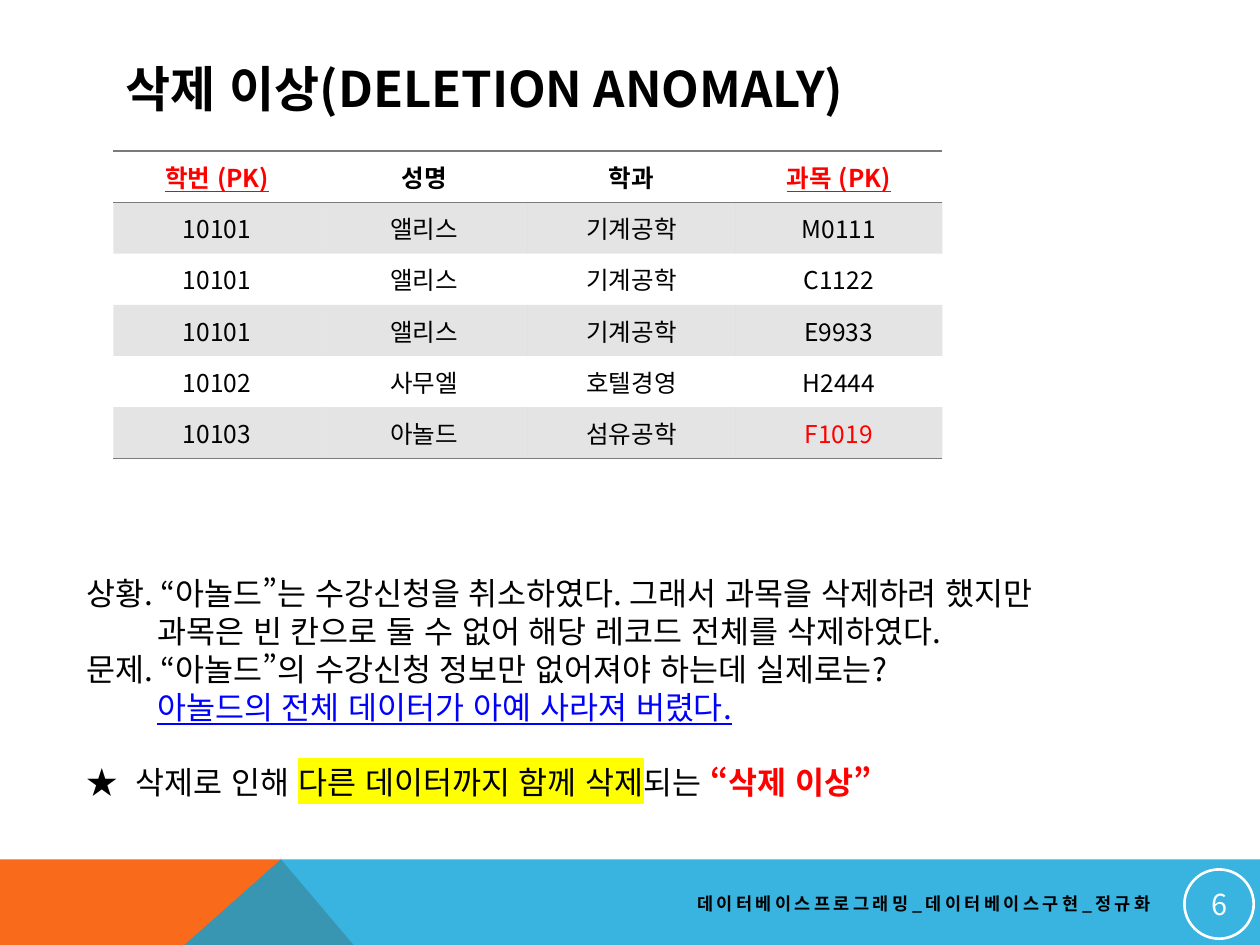
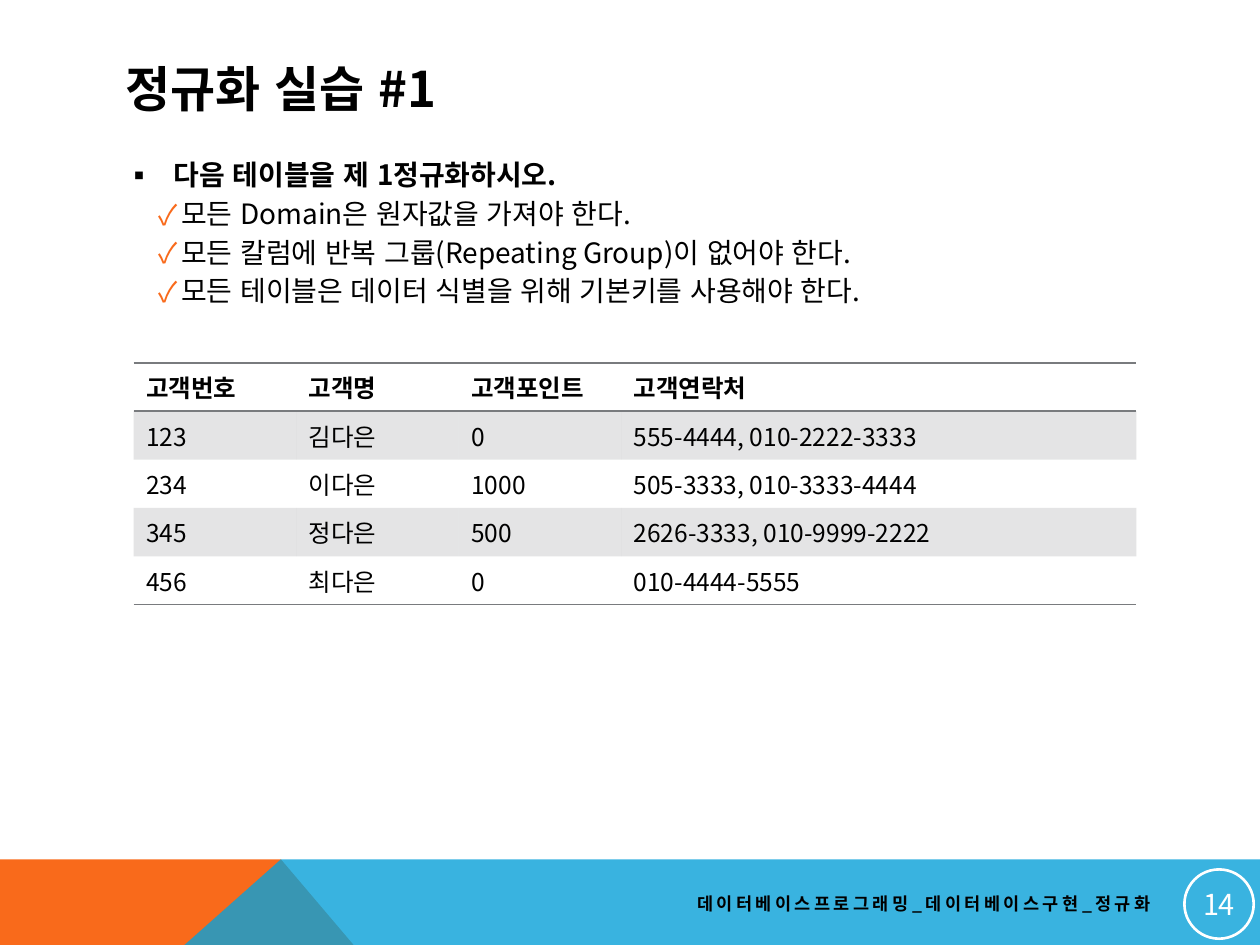
from dataclasses import dataclass

from lxml import etree
from pptx import Presentation, util as u
from pptx.dml import color
from pptx.enum import shapes, text
from pptx.oxml import ns

Inches, Pt = u.Inches, u.Pt


@dataclass(frozen=True)
class Theme:
    font: str = "Noto Sans CJK KR"
    black: str = "000000"
    white: str = "FFFFFF"
    red: str = "FF0000"
    link_blue: str = "0000FF"
    marker: str = "FFFF00"
    orange: str = "F96A1B"
    sky: str = "08A1D9"
    gray: str = "797B7E"
    title_size: float = 28
    story_size: float = 18
    number_size: float = 16.5
    body_size: float = 16
    table_size: float = 14
    footer_size: float = 10
    line_factor: float = 1.2


THEME = Theme()
FOOTER = "데이터베이스프로그래밍_데이터베이스구현_정규화"
NO_TABLE_STYLE = "{2D5ABB26-0587-4C30-8999-92F81FD0307C}"
LEFT, CENTER, RIGHT = (text.PP_ALIGN.LEFT, text.PP_ALIGN.CENTER,
                       text.PP_ALIGN.RIGHT)
MIDDLE, TOP = text.MSO_ANCHOR.MIDDLE, text.MSO_ANCHOR.TOP


def rgb(value):
    return color.RGBColor.from_string(value)


def child(parent, tag, **attributes):
    return etree.SubElement(parent, ns.qn(tag), attributes)


def add_color(parent, value):
    child(parent, "a:srgbClr", val=value)


def set_fill(fill, value, opacity=100):
    fill.solid()
    fill.fore_color.rgb = rgb(value)
    if opacity < 100:
        solid = fill._xPr.find(ns.qn("a:solidFill"))
        child(solid[0], "a:alpha", val=str(opacity * 1000))


def add_text(paragraph, content, size, tone=THEME.black, bold=False,
             underline=False, highlight=None, spacing=0):
    run = paragraph.add_run()
    run.text = content
    font = run.font
    font.size, font.bold, font.underline = Pt(size), bold, underline
    font.color.rgb = rgb(tone)
    properties = run._r.get_or_add_rPr()
    properties.set("lang", "ko-KR")
    properties.set("altLang", "en-US")
    if spacing:
        properties.set("spc", str(spacing * 100))
    if highlight:
        add_color(child(properties, "a:highlight"), highlight)
    for tag in ("a:latin", "a:ea"):
        child(properties, tag, typeface=THEME.font)


def format_paragraph(paragraph, size, left=0, hanging=0, before=0,
                     bullet=None, bullet_color=None):
    paragraph.line_spacing = Pt(size * THEME.line_factor)
    paragraph.space_before = Pt(before)
    properties = paragraph._p.get_or_add_pPr()
    properties.set("marL", str(Inches(left)))
    properties.set("indent", str(-Inches(hanging)))
    if bullet_color:
        add_color(child(properties, "a:buClr"), bullet_color)
    if bullet:
        child(properties, "a:buFont", typeface=THEME.font)
        child(properties, "a:buChar", char=bullet)


def add_box(slide, left, top, width, height, anchor=TOP):
    shape = slide.shapes.add_textbox(
        Inches(left), Inches(top), Inches(width), Inches(height))
    frame = shape.text_frame
    frame.word_wrap = True
    frame.vertical_anchor = anchor
    return frame


def next_paragraph(frame):
    first = frame.paragraphs[0]
    return frame.add_paragraph() if first.runs else first


def add_polygon(slide, points, fill, opacity=100):
    corners = [(Inches(x), Inches(y)) for x, y in points]
    builder = slide.shapes.build_freeform(*corners[0], scale=1.0)
    builder.add_line_segments(corners[1:], close=True)
    shape = builder.convert_to_shape()
    shape.shadow.inherit = False
    set_fill(shape.fill, fill, opacity)
    shape.line.fill.background()


def add_page_number(slide, number):
    shape = slide.shapes.add_shape(
        shapes.MSO_SHAPE.OVAL, Inches(9.4), Inches(6.9),
        Inches(0.55), Inches(0.55))
    shape.shadow.inherit = False
    shape.fill.background()
    shape.line.color.rgb = rgb(THEME.white)
    shape.line.width = Pt(1.5)
    frame = shape.text_frame
    frame.margin_left = frame.margin_right = Inches(0.01)
    frame.margin_top = frame.margin_bottom = Inches(0.01)
    frame.vertical_anchor = MIDDLE
    paragraph = frame.paragraphs[0]
    paragraph.alignment = CENTER
    add_text(paragraph, str(number), THEME.number_size, THEME.white)


def add_page(presentation, title, number):
    slide = presentation.slides.add_slide(presentation.slide_layouts[6])
    band_top, bottom, peak = 6.82, 8.8, 2.23
    add_polygon(slide, [(0, bottom), (0, band_top), (peak, band_top),
                        (3.91, bottom)], THEME.orange)
    add_polygon(slide, [(0, bottom), (peak, band_top), (10, band_top),
                        (10, bottom)], THEME.sky, 80)
    frame = add_box(slide, 0.9, 0.4, 8.22, 0.6, MIDDLE)
    add_text(frame.paragraphs[0], title, THEME.title_size, bold=True)
    frame = add_box(slide, 4.06, 7.02, 5.17, 0.3, MIDDLE)
    frame.paragraphs[0].alignment = RIGHT
    add_text(frame.paragraphs[0], FOOTER, THEME.footer_size, bold=True,
             spacing=2)
    add_page_number(slide, number)
    return slide


def add_border(cell, side):
    line = child(cell._tc.get_or_add_tcPr(), side, w=str(Pt(1)))
    add_color(child(line, "a:solidFill"), THEME.gray)


def add_grid(slide, left, top, widths, height, rows, align=LEFT,
             anchor=TOP, keys=(), red_values=()):
    table = slide.shapes.add_table(
        len(rows), len(widths), Inches(left), Inches(top),
        Inches(sum(widths)), Inches(height)).table
    table._tbl.tblPr.find(ns.qn("a:tableStyleId")).text = NO_TABLE_STYLE
    for column, width in zip(table.columns, widths):
        column.width = Inches(width)
    for i, values in enumerate(rows):
        table.rows[i].height = Inches(height / len(rows))
        for j, value in enumerate(values):
            cell = table.cell(i, j)
            cell.vertical_anchor = anchor
            if i == 0:
                add_border(cell, "a:lnT")
            if i in (0, len(rows) - 1):
                add_border(cell, "a:lnB")
            if i % 2:
                set_fill(cell.fill, THEME.gray, 20)
            else:
                cell.fill.background()
            paragraph = cell.text_frame.paragraphs[0]
            paragraph.alignment = align
            is_red = value in keys or value in red_values
            add_text(paragraph, value, THEME.table_size,
                     THEME.red if is_red else THEME.black,
                     bold=i == 0, underline=value in keys)


def add_story(slide):
    size = THEME.story_size
    frame = add_box(slide, 0.59, 4.51, 8.56, 1.92)
    indented = {"left": 0.56}
    conclusion = {"left": 0.39, "hanging": 0.39,
                  "before": size * THEME.line_factor}
    lines = [
        ({}, [("상황. “아놀드”는 수강신청을 취소하였다. "
               "그래서 과목을 삭제하려 했지만", {})]),
        (indented, [("과목은 빈 칸으로 둘 수 없어 해당 레코드 전체를 "
                     "삭제하였다.", {})]),
        ({}, [("문제. “아놀드”의 수강신청 정보만 없어져야 하는데 "
               "실제로는?", {})]),
        (indented, [("아놀드의 전체 데이터가 아예 사라져 버렸다.",
                     {"tone": THEME.link_blue, "underline": True})]),
        (conclusion, [
            ("★\t삭제로 인해 ", {}),
            ("다른 데이터까지 함께 삭제", {"highlight": THEME.marker}),
            ("되는 ", {}),
            ("“삭제 이상”", {"tone": THEME.red, "bold": True})]),
    ]
    for layout, runs in lines:
        paragraph = next_paragraph(frame)
        format_paragraph(paragraph, size, **layout)
        for content, style in runs:
            add_text(paragraph, content, size, **style)


def add_task(slide, task, rules):
    size = THEME.body_size
    frame = add_box(slide, 0.9, 1.2, 8.35, 1.37)
    paragraph = next_paragraph(frame)
    format_paragraph(paragraph, size, 0.38, 0.38, 8, "▪")
    add_text(paragraph, task, size, bold=True)
    for rule in rules:
        paragraph = next_paragraph(frame)
        paragraph.level = 1
        format_paragraph(paragraph, size, 0.44, 0.18, 3, "✓", THEME.orange)
        add_text(paragraph, rule, size)


def build_deletion_anomaly(presentation):
    slide = add_page(presentation, "삭제 이상(DELETION ANOMALY)", 6)
    rows = [
        ("학번 (PK)", "성명", "학과", "과목 (PK)"),
        ("10101", "앨리스", "기계공학", "M0111"),
        ("10101", "앨리스", "기계공학", "C1122"),
        ("10101", "앨리스", "기계공학", "E9933"),
        ("10102", "사무엘", "호텔경영", "H2444"),
        ("10103", "아놀드", "섬유공학", "F1019"),
    ]
    add_grid(slide, 0.9, 1.2, [6.58 / 4] * 4, 2.44, rows, CENTER, MIDDLE,
             keys=("학번 (PK)", "과목 (PK)"), red_values=("F1019",))
    add_story(slide)


def build_exercise(presentation):
    slide = add_page(presentation, "정규화 실습 #1", 14)
    add_task(slide, "다음 테이블을 제 1정규화하시오.", [
        "모든 Domain은 원자값을 가져야 한다.",
        "모든 칼럼에 반복 그룹(Repeating Group)이 없어야 한다.",
        "모든 테이블은 데이터 식별을 위해 기본키를 사용해야 한다.",
    ])
    rows = [
        ("고객번호", "고객명", "고객포인트", "고객연락처"),
        ("123", "김다은", "0", "555-4444, 010-2222-3333"),
        ("234", "이다은", "1000", "505-3333, 010-3333-4444"),
        ("345", "정다은", "500", "2626-3333, 010-9999-2222"),
        ("456", "최다은", "0", "010-4444-5555"),
    ]
    add_grid(slide, 1.06, 2.88, [1.29] * 3 + [4.09], 1.92, rows)


def main():
    presentation = Presentation()
    presentation.slide_width = Inches(10)
    presentation.slide_height = Inches(7.5)
    build_deletion_anomaly(presentation)
    build_exercise(presentation)
    presentation.save("out.pptx")


main()
